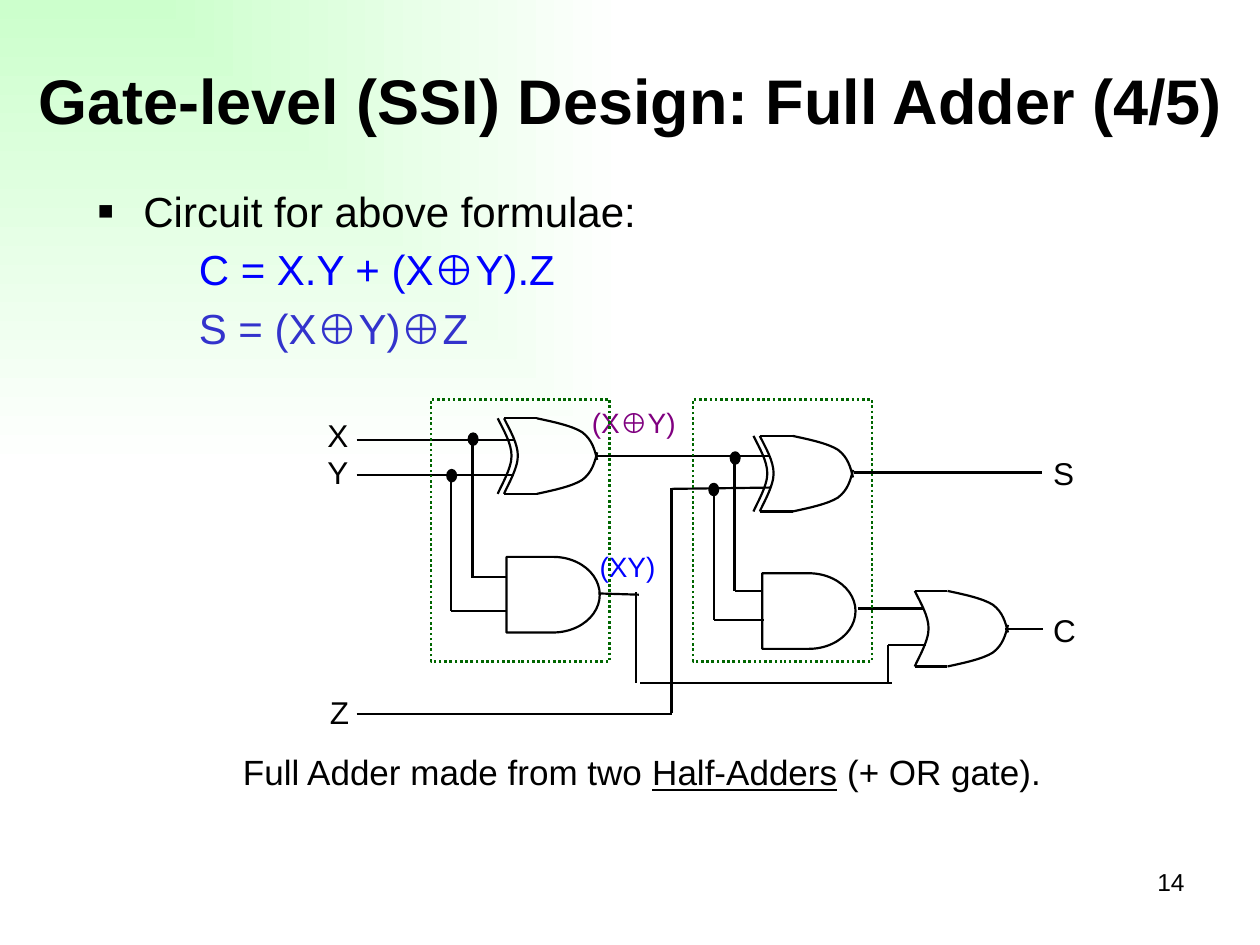
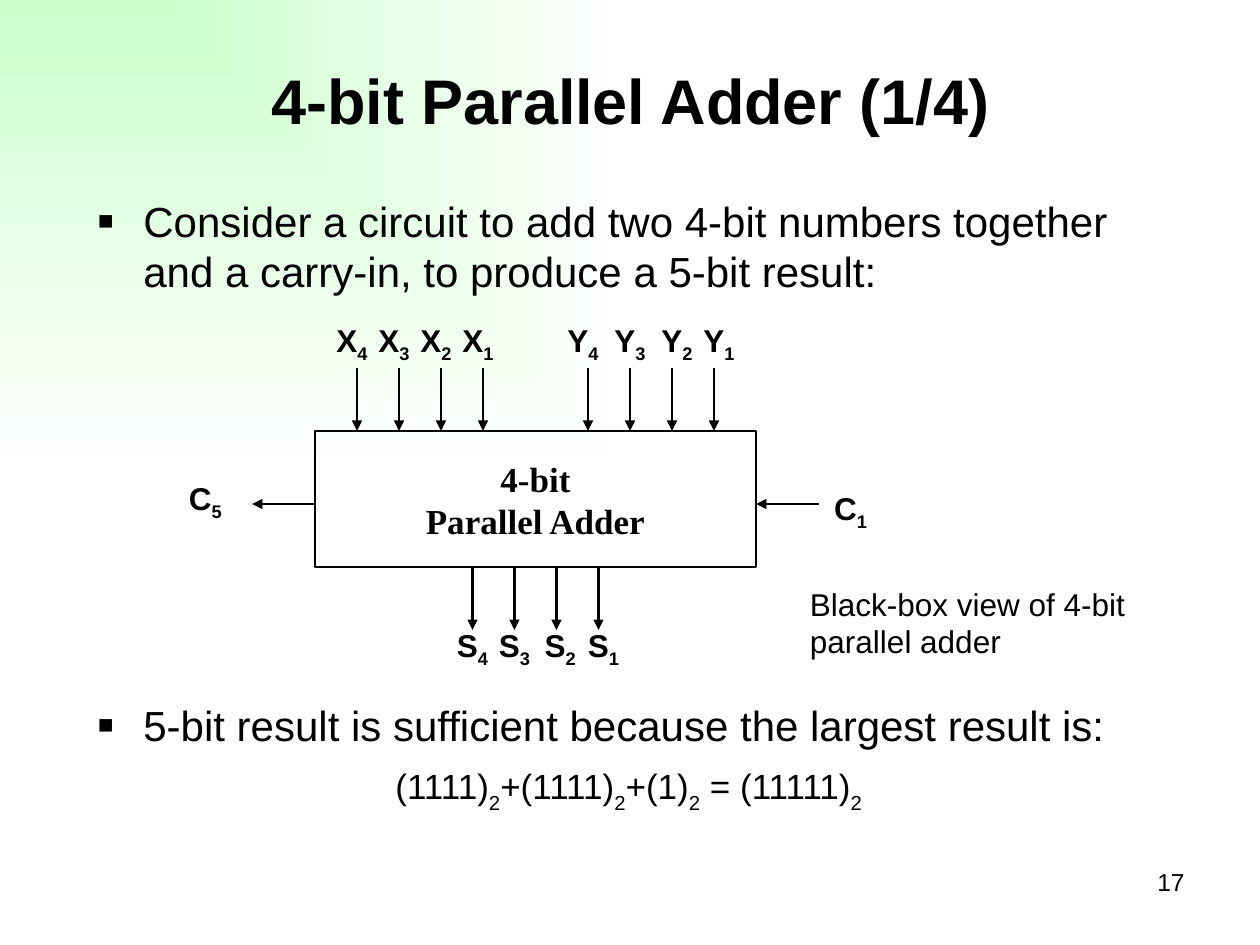
from lxml import etree
from pptx import Presentation
from pptx.dml.color import RGBColor
from pptx.enum import dml, shapes, text
from pptx.oxml import ns, parse_xml
from pptx.util import Inches, Pt

HUES = {"ink": "000000", "blue": "0000FF", "navy": "3333CC",
        "plum": "800080", "green": "006600", "mint": "CCFFCC", "white": "FFFFFF"}
KIND = shapes.MSO_SHAPE
MID = text.PP_ALIGN.CENTER
TITLE = {"size": Pt(36), "bold": True}
BODY = {"size": Pt(24)}
NOTE = {"size": Pt(20)}
LABEL = {"size": Pt(18)}
PIN = {"size": Pt(18), "bold": True}
SMALL = {"size": Pt(16)}


def write(home, box, paras, form, align=None, gap=0, hue="ink", anchor="top"):
    """Add a text box; a paragraph is a list of runs, a run is (words, extras)."""
    shape = home.add_textbox(*map(Inches, box))
    frame = shape.text_frame
    frame.word_wrap = True
    frame.vertical_anchor = getattr(text.MSO_ANCHOR, anchor.upper())
    for i, runs in enumerate(paras):
        para = frame.paragraphs[0] if i == 0 else frame.add_paragraph()
        para.alignment = align
        para.space_before = Pt(gap)
        for words, extra in runs:
            run = para.add_run()
            run.text = words
            look = {"name": "Arial", **form, **extra}
            tint = look.pop("hue", hue)
            base = look.pop("base", None)
            for key, value in look.items():
                setattr(run.font, key, value)
            run.font.color.rgb = RGBColor.from_string(HUES[tint])
            if base:
                run.font._element.set("baseline", str(base * 1000))
    return frame.paragraphs


def wire(home, x1, y1, x2, y2, arrow=False):
    """Draw a straight black line, with an arrowhead at its end if wanted."""
    line = home.add_connector(shapes.MSO_CONNECTOR.STRAIGHT,
                              *map(Inches, (x1, y1, x2, y2)))
    line.line.color.rgb = RGBColor.from_string(HUES["ink"])
    line.line.width = Pt(1.25)
    if arrow:
        etree.SubElement(line.line._get_or_add_ln(), ns.qn("a:tailEnd"), type="triangle")
    etree.SubElement(line._element.spPr, ns.qn("a:effectLst"))


prs = Presentation()
prs.slide_width, prs.slide_height = Inches(10), Inches(7.5)

# Shared background: mint fading out from the top left corner
core = prs.slide_master.element.find(ns.qn("p:cSld"))
for old in core.findall(ns.qn("p:bg")):
    core.remove(old)
core.insert(0, parse_xml(
    f'<p:bg {ns.nsdecls("p", "a")}><p:bgPr><a:gradFill rotWithShape="0"><a:gsLst>'
    f'<a:gs pos="0"><a:srgbClr val="{HUES["mint"]}"/></a:gs>'
    f'<a:gs pos="100000"><a:srgbClr val="{HUES["white"]}"/></a:gs></a:gsLst>'
    '<a:path path="rect"><a:fillToRect r="100000" b="100000"/></a:path>'
    '</a:gradFill><a:effectLst/></p:bgPr></p:bg>'))

# Shared title and page number
slides = []
for title, left, page in (("Gate-level (SSI) Design: Full Adder (4/5)", 0.13, "14"),
                          ("4-bit Parallel Adder (1/4)", 0.75, "17")):
    slide = prs.slides.add_slide(prs.slide_layouts[6])
    write(slide.shapes, (7.17, 6.83, 2.33, 0.52), [[(page, {})]], {"size": Pt(14)},
          text.PP_ALIGN.RIGHT)
    write(slide.shapes, (left, 0.16, 10.01 - 2 * left, 1.25), [[(title, {})]], TITLE,
          MID, anchor="middle")
    slides.append(slide.shapes)
full, four = slides

# Body text of both slides
formulas = write(full, (0.67, 1.42, 8.33, 1.5), [
    [("Circuit for above formulae:", {})],
    [("C = X.Y + (X⊕Y).Z", {"hue": "blue"})],
    [("S = (X⊕Y)⊕Z", {"hue": "navy"})]], BODY, gap=4.8)
task = write(four, (0.67, 1.5, 8.5, 1), [
    [("Consider a circuit to add two 4-bit numbers together and a carry-in, "
      "to produce a 5-bit result:", {})]], BODY, gap=4.8)

# Full adder: caption, carry-sum label and the circuit's own labels
write(full, (1.83, 5.91, 6.67, 0.58), [
    [("Full Adder made from two ", {}), ("Half-Adders", {"underline": True}),
     (" (+ OR gate).", {})]], NOTE)
write(full, (4.6, 3.17, 0.9, 0.38), [[("(X⊕Y)", {})]], SMALL, hue="plum")
net = full.add_group_shape().shapes
write(net, (4.66, 4.31, 0.69, 0.38), [[("(XY)", {})]], SMALL, hue="blue")
write(net, (2.5, 3.25, 0.42, 0.6), [[("X", {})], [("Y", {})]], LABEL)
for name, x, y in (("S", 8.26, 3.55), ("C", 8.26, 4.8), ("Z", 2.52, 5.45)):
    write(net, (x, y, 0.42, 0.38), [[(name, {})]], LABEL)

# Full adder: wires
for ends in (
        # inputs and first half-adder
        (2.83, 3.49, 4.08, 3.49), (2.83, 3.77, 4.08, 3.77), (4.73, 3.62, 6.11, 3.62),
        (3.75, 3.5, 3.75, 4.59), (3.75, 4.58, 4.02, 4.58),
        (3.58, 3.77, 3.58, 4.85), (3.58, 4.85, 4.02, 4.85),
        # Z and second half-adder
        (2.83, 5.67, 5.33, 5.67), (5.33, 3.87, 5.33, 5.66), (5.33, 3.88, 6.11, 3.87),
        (5.83, 3.6, 5.83, 4.69), (5.83, 4.69, 6.04, 4.69),
        (5.67, 3.83, 5.67, 4.92), (5.67, 4.92, 6.06, 4.92), (6.78, 3.75, 8.27, 3.75),
        # carries into the OR gate
        (4.75, 4.71, 5.07, 4.72), (5.05, 5.42, 5.05, 4.7), (5.08, 5.42, 7.08, 5.42),
        (7.05, 5.42, 7.05, 5.12), (7.05, 5.12, 7.35, 5.12),
        (6.81, 4.83, 7.33, 4.83), (7.98, 4.99, 8.28, 4.99)):
    wire(net, *ends)

# Full adder: OR and XOR gates, each curve made of two cubic Bezier pieces
BACK = [(0, 0), (0.05, 0.1), (0.11, 0.2), (0.11, 0.3), (0.11, 0.4), (0.02, 0.55), (0, 0.6)]
NOSE = [(0.26, 0), (0.4, 0.03), (0.54, 0.06), (0.62, 0.11),
        (0.7, 0.17), (0.72, 0.25), (0.74, 0.33)]
FLIP = [(x, 0.6 - y) for x, y in NOSE]
REAR = [(x - 0.05, y) for x, y in BACK]
parts = []
for left, top, curves in ((4, 3.32, (BACK, NOSE, FLIP, REAR)),
                          (6.03, 3.46, (BACK, NOSE, FLIP, REAR)),
                          (7.26, 4.69, (BACK, NOSE, FLIP))):
    for y in (top, top + 0.6):
        wire(net, left, y, left + 0.26, y)
    for curve in curves:
        dots = [(Inches(left + x), Inches(top + y)) for x, y in curve]
        pen = net.build_freeform(*dots[0])
        pen.add_line_segments(dots[1:], close=False)
        shape = pen.convert_to_shape()
        # Each three straight steps become the handles and end of one curve
        steps = list(shape._element.iter(ns.qn("a:lnTo")))
        for i in (0, 3):
            bend = etree.Element(ns.qn("a:cubicBezTo"))
            steps[i].addprevious(bend)
            for step in steps[i:i + 3]:
                bend.append(step[0])
                step.getparent().remove(step)
        parts.append((shape, "ink", 1.25, False))

# Full adder: AND gates, joints and half-adder frames; the adder box on slide two
halves = full.add_group_shape().shapes
unit = four.add_group_shape().shapes
for home, kind, spots, size, hue, width, solid in (
        (net, KIND.FLOWCHART_DELAY, ((4.02, 4.42), (6.05, 4.55)), (0.74, 0.6),
         "ink", 1.25, False),
        (net, KIND.OVAL, ((3.55, 3.73), (3.72, 3.44), (5.63, 3.84), (5.8, 3.59)),
         (0.07, 0.09), "ink", 1.25, True),
        (halves, KIND.RECTANGLE, ((3.42, 3.17), (5.5, 3.17)), (1.42, 2.08),
         "green", 1.5, False),
        (unit, KIND.RECTANGLE, ((2.5, 3.42),), (3.5, 1.08), "ink", 1.5, False)):
    for spot in spots:
        shape = home.add_shape(kind, *map(Inches, spot + size))
        parts.append((shape, hue, width, solid))
for shape, hue, width, solid in parts:
    shape.shadow.inherit = False
    shape.line.color.rgb = RGBColor.from_string(HUES[hue])
    shape.line.width = Pt(width)
    if hue == "green":
        shape.line.dash_style = dml.MSO_LINE.ROUND_DOT
    if solid:
        shape.fill.solid()
        shape.fill.fore_color.rgb = RGBColor.from_string(HUES[hue])
    else:
        shape.fill.background()

# Parallel adder: name and carries
write(unit, (3.08, 3.58, 2.34, 0.77), [[("4-bit", {})], [("Parallel Adder", {})]],
      {**NOTE, "name": "Times New Roman", "bold": True}, MID)
wire(unit, 2.5, 4, 2, 4, True)
wire(unit, 6.5, 4, 6, 4, True)

# Parallel adder: numbered pins, with a small shift of each label from its arrow
pins = [("C", "5", 1.63, 3.75), ("C", "1", 6.75, 3.83)]
for name, first, top, high, shifts in (
        ("X", 17 / 6, 2.92, 2.5, (-0.04, -0.04, -0.04, -0.04)),
        ("Y", 14 / 3, 2.92, 2.5, (-0.04, 0, 0.04, 0.04)),
        ("S", 3.75, 4.5, 4.92, (0, 0, 0.03, 0.04))):
    for i, shift in enumerate(shifts):
        x = first + i / 3
        wire(unit, x, top, x, top + 0.5, True)
        pins.append((name, str(4 - i), x + shift, high))
for name, digit, x, y in pins:
    write(unit, (x - 0.29, y, 0.58, 0.4), [[(name, {}), (digit, {"base": -25})]],
          PIN, MID, gap=1.8)

# Parallel adder: caption and largest result
write(four, (6.33, 4.59, 2.75, 0.7), [[("Black-box view of 4-bit parallel adder", {})]],
      LABEL)
sub = ("2", {**NOTE, "base": -30})
total = []
for part in ("(1111)", "+(1111)", "+(1)", " = (11111)"):
    total += [(part, NOTE), sub]
result = write(four, (0.67, 5.5, 8.5, 1.08), [
    [("5-bit result is sufficient because the largest result is:", {})], total],
    BODY, gap=4.8)
result[1].space_before = Pt(8.5)

# Bullets and indents
for para in (formulas[0], task[0], result[0]):
    props = para._p.get_or_add_pPr()
    props.set("marL", str(Inches(0.37)))
    props.set("indent", str(Inches(-0.37)))
    for tag, key, value in (("buSzPct", "val", "120000"), ("buFont", "typeface", "Arial"),
                            ("buChar", "char", "▪")):
        etree.SubElement(props, ns.qn("a:" + tag)).set(key, value)
for para, left in ((formulas[1], 0.81), (formulas[2], 0.81), (result[1], 2.37)):
    para._p.get_or_add_pPr().set("marL", str(Inches(left)))

prs.save("out.pptx")
